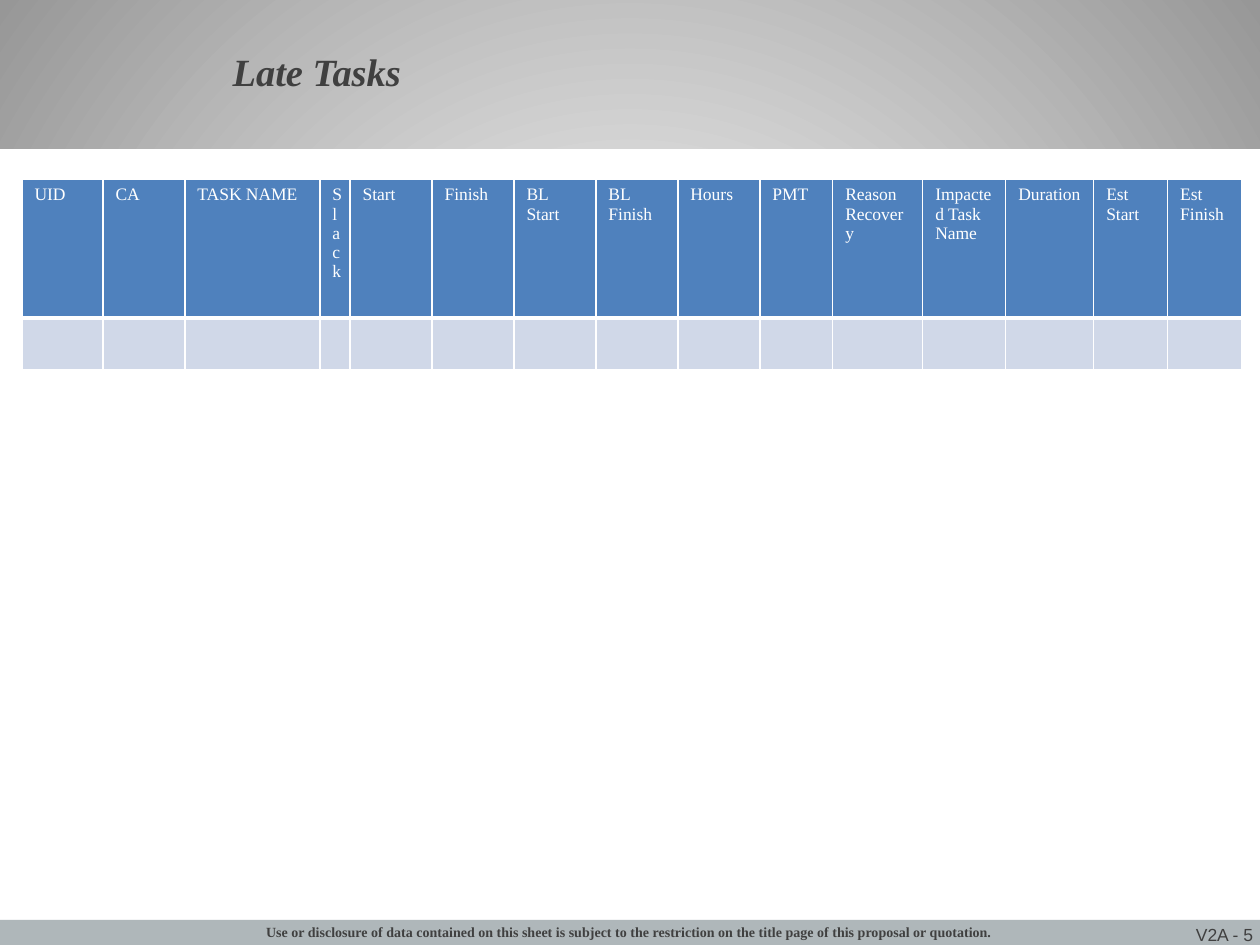
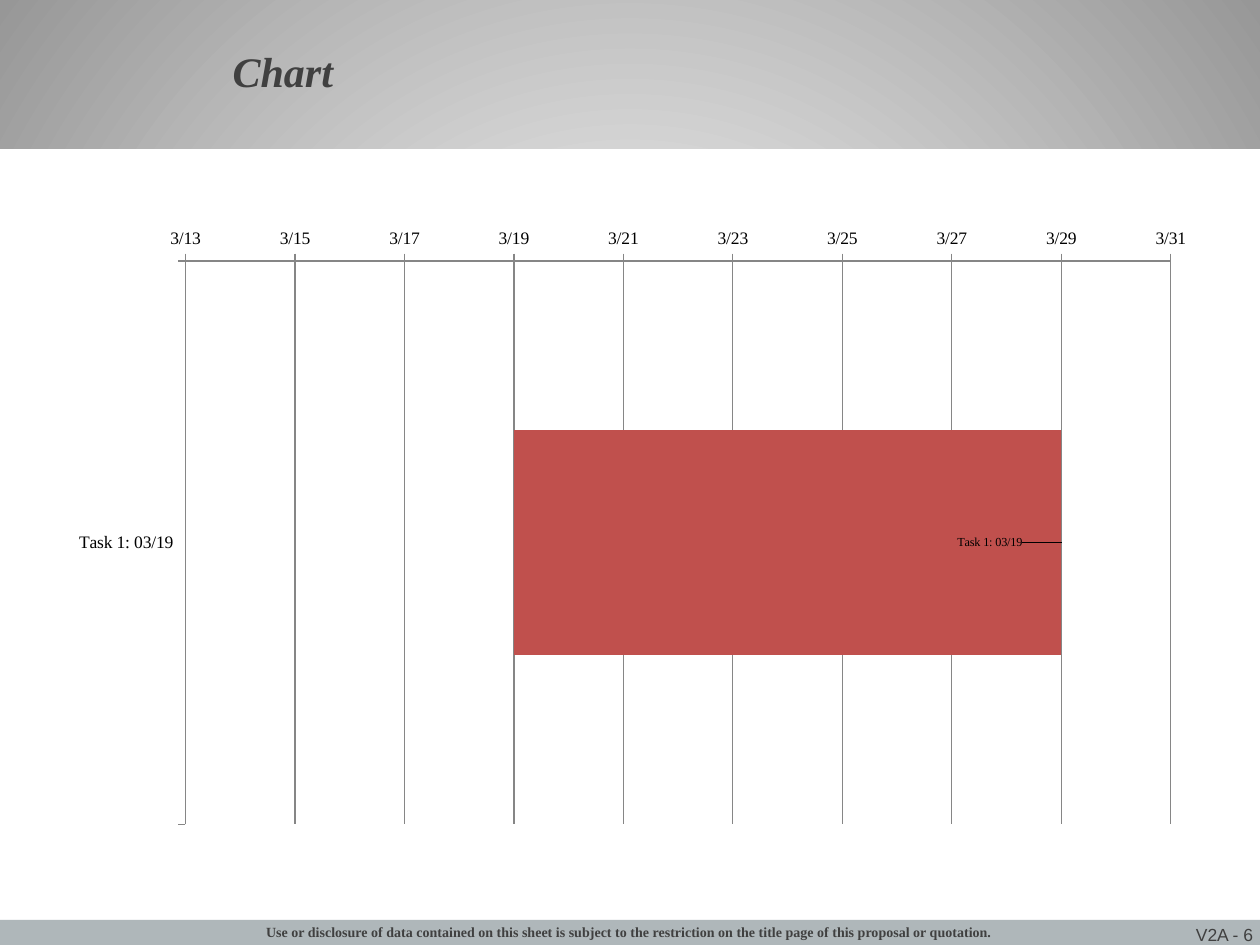
"""Builds a late-task table slide and a task timeline chart slide."""
import pptx
import pptx.util
import pptx.oxml
import pptx.oxml.ns
import pptx.dml.color
import pptx.chart.data
import pptx.enum.text
import pptx.enum.chart
import pptx.enum.shapes

PX = 914400 // 126
WHITE, GREY, INK, BLACK = "FFFFFF", "979797", "404040", "000000"
BAND, HEAD, BODY, RED, RULE = "AFB7BA", "4F81BD", "D0D8E8", "C0504D", "868686"
SERIF = "Times New Roman"
NOTE = ("Use or disclosure of data contained on this sheet is subject to "
        "the restriction on the title page of this proposal or quotation.")
ALIGN = pptx.enum.text.PP_ALIGN
ANCHOR = pptx.enum.text.MSO_ANCHOR
TICK = pptx.enum.chart.XL_TICK_MARK
Pt = pptx.util.Pt
qn = pptx.oxml.ns.qn


def tint(fill, code):
    fill.solid()
    fill.fore_color.rgb = pptx.dml.color.RGBColor.from_string(code)


def style(item, **vals):
    for key, val in vals.items():
        setattr(item, key, val)


deck = pptx.Presentation()
style(deck, slide_width=1260 * PX, slide_height=945 * PX)

back = deck.slide_master.background.fill
back.gradient()
for stop, place, code in zip(back.gradient_stops, (0, 1), (WHITE, GREY)):
    stop.position = place
    stop.color.rgb = pptx.dml.color.RGBColor.from_string(code)
grad = deck.slide_master.element.find(".//" + qn("p:bgPr") + "/" + qn("a:gradFill"))
for old in grad.findall(qn("a:lin")):
    grad.remove(old)
grad.append(pptx.oxml.parse_xml(
    f'<a:path {pptx.oxml.ns.nsdecls("a")} path="circle">'
    '<a:fillToRect l="50000" t="50000" r="50000" b="50000"/></a:path>'))

panes = [((0, 149, 1260, 775), WHITE), ((0, 920, 1260, 25), BAND)]
slides = []
for page, name, size in ((5, "Late Tasks", 22), (6, "Chart", 24)):
    slide = deck.slides.add_slide(deck.slide_layouts[5])
    slides.append(slide)
    for box, code in panes:
        pane = slide.shapes.add_shape(
            pptx.enum.shapes.MSO_SHAPE.RECTANGLE, *[n * PX for n in box])
        pane.shadow.inherit = False
        pane.line.fill.background()
        tint(pane.fill, code)

    feet = [
        ((1135, 924, 118, 21), f"V2A - {page}", ALIGN.RIGHT, ANCHOR.BOTTOM,
         dict(name="Arial", size=Pt(10))),
        ((181, 924, 897, 16), NOTE, ALIGN.CENTER, ANCHOR.TOP,
         dict(name=SERIF, size=Pt(8), bold=True)),
    ]
    for box, text, side, hold, look in feet:
        frame = slide.shapes.add_textbox(*[n * PX for n in box]).text_frame
        style(frame, text=text, word_wrap=True, vertical_anchor=hold,
              margin_left=0, margin_right=0, margin_top=0, margin_bottom=0)
        para = frame.paragraphs[0]
        para.alignment = side
        style(para.runs[0].font, **look)
        tint(para.runs[0].font.fill, INK)

    title = slide.shapes.title
    style(title, left=220 * PX, top=14 * PX, width=1018 * PX, height=122 * PX)
    style(title.text_frame, text=name, vertical_anchor=ANCHOR.MIDDLE,
          auto_size=pptx.enum.text.MSO_AUTO_SIZE.NONE)
    para = title.text_frame.paragraphs[0]
    style(para, alignment=ALIGN.LEFT, line_spacing=0.85)
    style(para.runs[0].font, name=SERIF, size=Pt(size), bold=True, italic=True)
    tint(para.runs[0].font.fill, INK)

cols = [("UID", 81), ("CA\u00a0", 82), ("TASK NAME", 135), ("Slack\u00a0", 29),
        ("Start", 82), ("Finish", 82), ("BL Start", 82), ("BL Finish", 82),
        ("Hours", 82), ("PMT", 73), ("Reason Recovery", 90),
        ("Impacted Task Name", 83), ("Duration", 88), ("Est Start", 74),
        ("Est Finish", 74)]
wide = sum(width for _, width in cols)
table = slides[0].shapes.add_table(
    2, len(cols), 22 * PX, 179 * PX, wide * PX, 179 * PX).table
table.rows[0].height, table.rows[1].height = 127 * PX, 52 * PX
for col, (text, width) in enumerate(cols):
    table.columns[col].width = width * PX
    for row, code in enumerate((HEAD, BODY)):
        cell = table.cell(row, col)
        props = cell._tc.get_or_add_tcPr()
        for edge in "LRTB":
            thick = 38100 if (row, edge) in ((0, "B"), (1, "T")) else 12700
            props.append(pptx.oxml.parse_xml(
                f'<a:ln{edge} {pptx.oxml.ns.nsdecls("a")} w="{thick}"><a:solidFill>'
                f'<a:srgbClr val="{WHITE}"/></a:solidFill></a:ln{edge}>'))
        tint(cell.fill, code)
    head = table.cell(0, col)
    head.text = text
    font = head.text_frame.paragraphs[0].runs[0].font
    style(font, name=SERIF, size=Pt(10), bold=False)
    tint(font.fill, WHITE)

data = pptx.chart.data.CategoryChartData()
data.categories = ["Task 1: 03/19"]
data.add_series("Series 1", [40987])
data.add_series("Series 2", [10])
chart = slides[1].shapes.add_chart(
    pptx.enum.chart.XL_CHART_TYPE.BAR_STACKED,
    63 * PX, 220 * PX, 1134 * PX, 624 * PX, data).chart
style(chart, has_legend=False, has_title=False)
style(chart.font, name=SERIF, size=Pt(10))
tint(chart.font.fill, BLACK)
plot = chart.plots[0]
style(plot, gap_width=150, overlap=100, vary_by_categories=False)
start, span = plot.series
start.format.fill.background()
tint(span.format.fill, RED)

cat, val = chart.category_axis, chart.value_axis
style(cat, reverse_order=True, has_major_gridlines=False)
style(val, minimum_scale=40981, maximum_scale=40999, major_unit=2,
      has_major_gridlines=True)
style(val.tick_labels, number_format="m/d;@", number_format_is_linked=False)
for axis in (cat, val):
    style(axis, major_tick_mark=TICK.OUTSIDE, minor_tick_mark=TICK.NONE)
for part in (cat, val, val.major_gridlines):
    part.format.line.width = Pt(0.75)
    tint(part.format.line.fill, RULE)

label = span.points[0].data_label
label.position = pptx.enum.chart.XL_LABEL_POSITION.INSIDE_END
style(label.font, name=SERIF, size=Pt(7))
tint(label.font.fill, BLACK)
mark = span._element.find(".//" + qn("c:dLbl"))
mark.find(qn("c:showVal")).set("val", "0")
mark.find(qn("c:showCatName")).set("val", "1")
mark.insert(1, pptx.oxml.parse_xml(
    f'<c:layout {pptx.oxml.ns.nsdecls("c")}><c:manualLayout>'
    '<c:x val="-0.03"/><c:y val="0"/></c:manualLayout></c:layout>'))

area = chart._chartSpace.find(".//" + qn("c:plotArea"))
for old in area.findall(qn("c:layout")):
    area.remove(old)
spots = dict(x=0.108, y=0.066, w=0.869, h=0.903)
area.insert(0, pptx.oxml.parse_xml(
    f'<c:layout {pptx.oxml.ns.nsdecls("c")}><c:manualLayout>'
    '<c:layoutTarget val="inner"/><c:xMode val="edge"/><c:yMode val="edge"/>'
    + "".join(f'<c:{key} val="{num}"/>' for key, num in spots.items())
    + '</c:manualLayout></c:layout>'))

deck.save("out.pptx")
